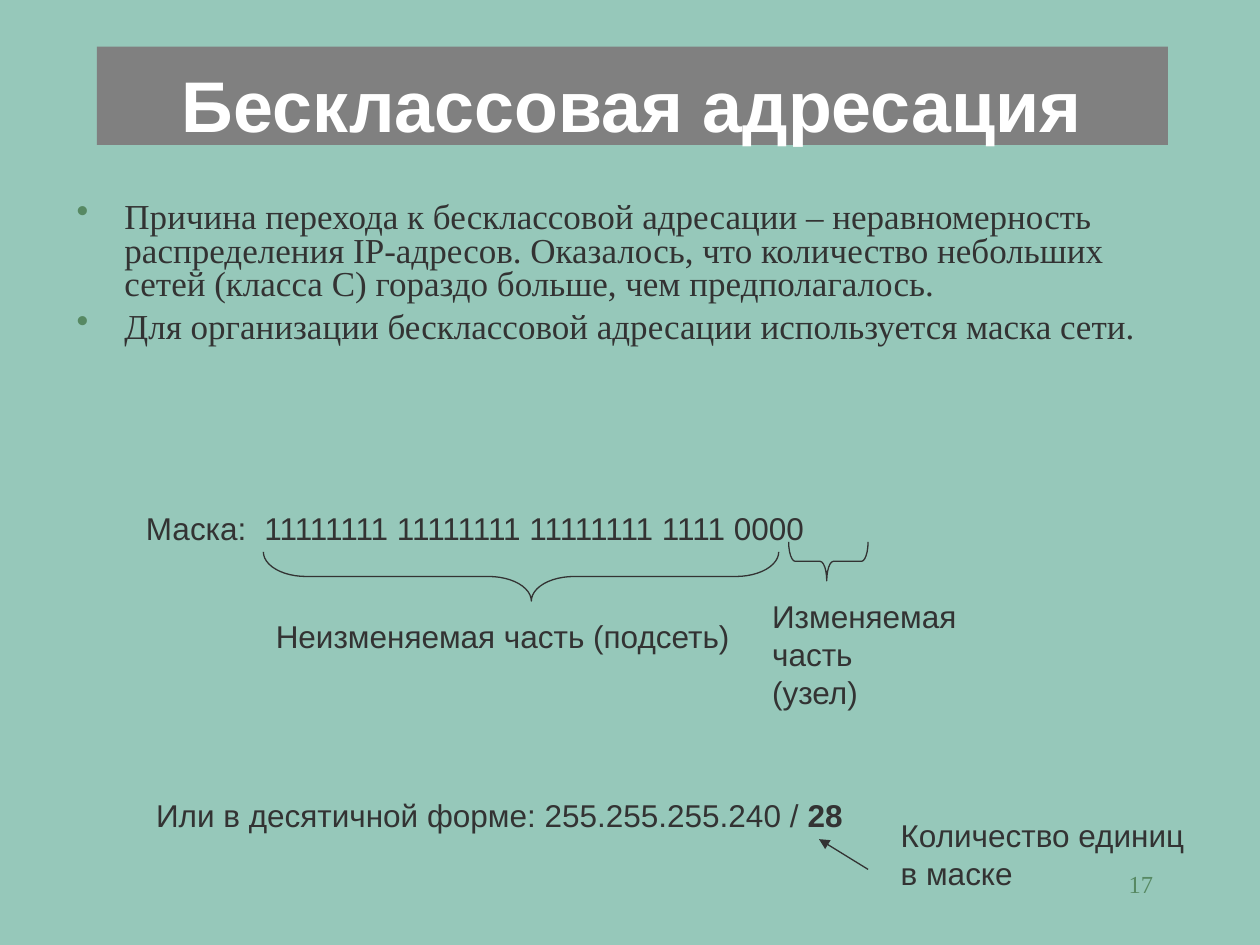
from lxml import etree
from pptx import Presentation
from pptx.dml.color import RGBColor
from pptx.enum.shapes import MSO_CONNECTOR, MSO_SHAPE
from pptx.enum.text import PP_ALIGN
from pptx.oxml.ns import qn
from pptx.util import Inches, Pt

RECT, BRACE = MSO_SHAPE.RECTANGLE, MSO_SHAPE.LEFT_BRACE
LINE = MSO_CONNECTOR.STRAIGHT
LEFT, MID, RIGHT = PP_ALIGN.LEFT, PP_ALIGN.CENTER, PP_ALIGN.RIGHT
SANS, SERIF = "Arial", "Times New Roman"
INK, GREEN, GRAY, WHITE, BACK = "333333", "578963", "808080", "FFFFFF", "96C8BA"


def paint(part, code):
    """Give a fill a solid colour from a hex string."""
    part.solid()
    part.fore_color.rgb = RGBColor.from_string(code)


def put(para, text, font=SANS, size=18, color=INK, bold=False):
    """Add a formatted run to a paragraph."""
    run = para.add_run()
    run.text = text
    run.font.name, run.font.size, run.font.bold = font, Pt(size), bold
    paint(run.font.fill, color)


def node(host, tag, **attrs):
    """Append a drawing element with attributes."""
    return etree.SubElement(host, qn(tag), {k: str(v) for k, v in attrs.items()})


class Deck:
    """Holds the file, its current slide and the slide style."""

    def __init__(self):
        """Start a file with one blank slide."""
        self.file = Presentation()
        self.file.slide_width, self.file.slide_height = Inches(10), Inches(7.5)
        self.slide = self.file.slides.add_slide(self.file.slide_layouts[6])
        self.shapes = self.slide.shapes
        paint(self.slide.background.fill, BACK)

    def fill(self, shape, lines, align=LEFT, top=0.05, wrap=True, **style):
        """Write lines into a shape and return its paragraphs."""
        frame = shape.text_frame
        frame.word_wrap = wrap
        frame.margin_left = frame.margin_right = Inches(0.1)
        frame.margin_top, frame.margin_bottom = Inches(top), Inches(0)
        for i, line in enumerate(lines):
            para = frame.add_paragraph() if i else frame.paragraphs[0]
            para.alignment = align
            put(para, line, **style)
        return frame.paragraphs

    def text(self, box, *lines, **style):
        """Add a text box."""
        shape = self.shapes.add_textbox(*map(Inches, box))
        return self.fill(shape, lines, **style)

    def label(self, box, *lines):
        """Add a diagram caption that does not wrap."""
        return self.text(box, *lines, wrap=False)

    def title(self, box, text):
        """Add the title bar."""
        bar = self.shapes.add_shape(RECT, *map(Inches, box))
        bar.shadow.inherit = False
        paint(bar.fill, GRAY)
        bar.line.fill.background()
        bar.text_frame.vertical_anchor = 1
        self.fill(bar, [text], MID, 0.11, size=41, color=WHITE, bold=True)

    def points(self, box, *lines):
        """Add a bulleted list."""
        paras = self.text(box, *lines, top=0.06, font=SERIF, size=20)
        for i, para in enumerate(paras):
            para.line_spacing = 0.8
            para.space_before = Pt(5 if i else 0)
            props = para._p.get_or_add_pPr()
            props.set("marL", str(Inches(0.38)))
            props.set("indent", str(-Inches(0.38)))
            node(node(props, "a:buClr"), "a:srgbClr", val=GREEN)
            node(props, "a:buChar", char="•")

    def brace(self, box, arc, tip):
        """Add a brace that points down."""
        left, top, width, depth = box
        x, y = left + (width - depth) / 2, top + (depth - width) / 2
        shape = self.shapes.add_shape(BRACE, *map(Inches, (x, y, depth, width)))
        shape.rotation = 270
        shape.shadow.inherit = False
        shape.adjustments[0], shape.adjustments[1] = arc, tip
        shape.fill.background()
        self.stroke(shape.line)

    def arrow(self, *ends):
        """Add a line with an arrowhead at its end."""
        line = self.shapes.add_connector(LINE, *map(Inches, ends))
        self.stroke(line.line)
        node(line.line._get_or_add_ln(), "a:tailEnd", type="triangle")
        node(line._element.spPr, "a:effectLst")

    def stroke(self, line):
        """Set the thin dark outline."""
        line.width = Pt(0.75)
        paint(line.fill, INK)


def main():
    """Build the slide and save it."""
    deck = Deck()
    deck.title((0.77, 0.37, 8.5, 0.78), "Бесклассовая адресация")
    deck.points(
        (0.51, 1.55, 9, 1.97),
        "Причина перехода к бесклассовой адресации – неравномерность "
        "распределения IP-адресов. Оказалось, что количество небольших "
        "сетей (класса С) гораздо больше, чем предполагалось.",
        "Для организации бесклассовой адресации используется маска сети.",
    )
    mask = deck.label(
        (1.06, 3.99, 5.85, 0.4), "Маска:\t11111111 11111111 11111111 1111 0000"
    )
    tabs = node(mask[0]._p.get_or_add_pPr(), "a:tabLst")
    node(tabs, "a:tab", pos=Inches(0.94), algn="l")
    form = deck.label(
        (1.14, 6.27, 5.65, 0.4), "Или в десятичной форме: 255.255.255.240 / "
    )
    put(form[0], "28", bold=True)
    deck.brace((2.09, 4.38, 4.09, 0.39), 0.87, 0.52)
    deck.brace((6.26, 4.3, 0.63, 0.31), 0.17, 0.48)
    deck.label((2.09, 4.85, 3.81, 0.4), "Неизменяемая часть (подсеть)")
    deck.label((6.03, 4.69, 1.73, 1), "Изменяемая", "часть", "(узел)")
    deck.label((7.05, 6.43, 2.53, 0.7), "Количество единиц", "в маске")
    deck.arrow(6.89, 6.9, 6.5, 6.66)
    deck.text((7.17, 6.83, 2.08, 0.5), "17", align=RIGHT, top=0.07,
              font=SERIF, size=14, color=GREEN)
    deck.file.save("out.pptx")


if __name__ == "__main__":
    main()
